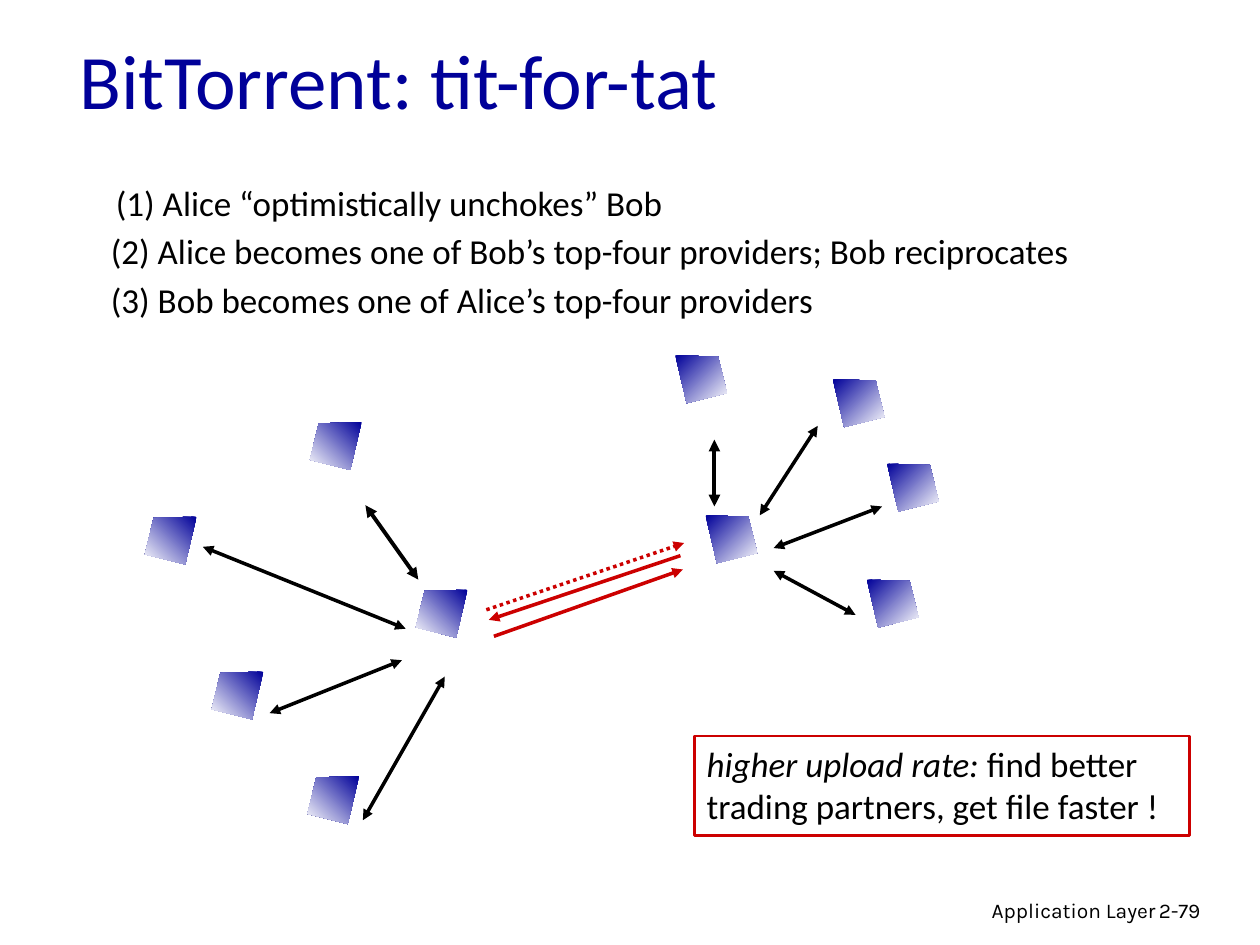
from dataclasses import dataclass

from lxml.etree import SubElement
from pptx import Presentation
from pptx.dml.color import RGBColor
from pptx.enum.dml import MSO_LINE
from pptx.enum.shapes import MSO_CONNECTOR, MSO_SHAPE
from pptx.enum.text import MSO_ANCHOR, MSO_AUTO_SIZE, PP_ALIGN
from pptx.oxml.ns import qn
from pptx.util import Inches, Pt


@dataclass(frozen=True)
class Theme:
    navy: RGBColor = RGBColor(0x00, 0x00, 0x99)
    red: RGBColor = RGBColor(0xCC, 0x00, 0x00)
    black: RGBColor = RGBColor(0, 0, 0)
    white: RGBColor = RGBColor(0xFF, 0xFF, 0xFF)
    font: str = "Calibri"
    footer_font: str = "Karla"
    title_size: int = 44
    body_size: int = 20
    footer_size: int = 12


THEME = Theme()

PEER_WIDTH = 0.41
PEER_OUTLINE = [(0, 0), (0.34, 0.01), (0.41, 0.3), (0.09, 0.38)]

STEPS = [
    (0.04, "(1) Alice “optimistically unchokes” Bob"),
    (0, "(2) Alice becomes one of Bob’s top-four providers; Bob reciprocates"),
    (0, "(3) Bob becomes one of Alice’s top-four providers"),
]
STEP_PITCH = 0.385

# Peers and links are measured from the top left corner of their region.
ALICE_PEERS = [(0.53, 1.98), (1.29, 2.81), (0, 0.75), (2.15, 1.33), (1.31, 0)]
ALICE_LINKS = [
    ((2.07, 1.64), (0.46, 0.99), 2),
    ((2.04, 1.89), (0.99, 2.31), 2),
    ((2.38, 2.02), (1.73, 3.16), 2),
    ((1.75, 0.66), (2.17, 1.25), 2.25),
]
BOB_PEERS = [(1.52, 1.78), (1.68, 0.86), (1.25, 0.19), (0.24, 1.27), (0, 0)]
BOB_LINKS = [
    ((0.67, 1.27), (1.13, 0.56), 2),
    ((0.78, 1.53), (1.64, 1.2), 2),
    ((0.78, 1.71), (1.43, 2.06), 2),
    ((0.31, 0.67), (0.31, 1.2), 2.25),
]
EXCHANGES = [
    ((0, 0.53), (1.57, 0), MSO_LINE.ROUND_DOT),
    ((1.54, 0.1), (0.02, 0.61), None),
    ((0.06, 0.74), (1.56, 0.21), None),
]


def add_span(para, text, size=THEME.body_size, font=THEME.font,
             color=THEME.black, italic=False):
    span = para.add_run()
    span.text = text
    span.font.size = Pt(size)
    span.font.name = font
    span.font.color.rgb = color
    span.font.italic = italic


def add_text(page, box, text, align=PP_ALIGN.LEFT, wrap=True, inset=None, **style):
    frame = page.shapes.add_textbox(*map(Inches, box)).text_frame
    frame.word_wrap = wrap
    if inset is not None:
        frame.margin_left = frame.margin_right = Inches(inset)
        frame.margin_top = frame.margin_bottom = Inches(inset)
        frame.auto_size = MSO_AUTO_SIZE.SHAPE_TO_FIT_TEXT
    para = frame.paragraphs[0]
    para.alignment = align
    add_span(para, text, **style)


def add_arrow(page, origin, start, end, color=THEME.black, width=2,
              dash=None, both_ends=False):
    left, top = origin
    arrow = page.shapes.add_connector(
        MSO_CONNECTOR.STRAIGHT,
        Inches(left + start[0]), Inches(top + start[1]),
        Inches(left + end[0]), Inches(top + end[1]))
    arrow.line.color.rgb = color
    arrow.line.width = Pt(width)
    if dash is not None:
        arrow.line.dash_style = dash
    line = arrow.line._get_or_add_ln()
    for tag in ("a:headEnd", "a:tailEnd") if both_ends else ("a:tailEnd",):
        SubElement(line, qn(tag), type="triangle")
    SubElement(arrow._element.spPr, qn("a:effectLst"))


def add_peer(page, left, top, mirrored):
    points = [(Inches(left + (PEER_WIDTH - x if mirrored else x)), Inches(top + y))
              for x, y in PEER_OUTLINE]
    builder = page.shapes.build_freeform(*points[0])
    builder.add_line_segments(points[1:], close=True)
    peer = builder.convert_to_shape()
    peer.shadow.inherit = False
    peer.line.fill.background()
    peer.fill.gradient()
    peer.fill.gradient_angle = 225 if mirrored else 315
    for stop, color in zip(peer.fill.gradient_stops, (THEME.navy, THEME.white)):
        stop.color.rgb = color


def add_neighbourhood(page, origin, peers, links, mirrored=False):
    for start, end, width in links:
        add_arrow(page, origin, start, end, width=width, both_ends=True)
    for x, y in peers:
        add_peer(page, origin[0] + x, origin[1] + y, mirrored)


def add_exchange(page, origin):
    """Draw the red arrows that run between Alice and Bob."""
    for start, end, dash in EXCHANGES:
        add_arrow(page, origin, start, end, color=THEME.red, dash=dash)


def add_title(page, box, text):
    title = page.shapes.title
    title.left, title.top, title.width, title.height = map(Inches, box)
    frame = title.text_frame
    frame.auto_size = MSO_AUTO_SIZE.NONE
    frame.vertical_anchor = MSO_ANCHOR.MIDDLE
    para = frame.paragraphs[0]
    para.alignment = PP_ALIGN.LEFT
    add_span(para, text, size=THEME.title_size, color=THEME.navy)


def add_steps(page, box):
    left, top, width, height = box
    for row, (indent, text) in enumerate(STEPS):
        add_text(page, (left + indent, top + row * STEP_PITCH, width - indent, height),
                 text, wrap=False, inset=0)


def add_callout(page, box):
    callout = page.shapes.add_shape(MSO_SHAPE.RECTANGLE, *map(Inches, box))
    callout.shadow.inherit = False
    callout.fill.background()
    callout.line.color.rgb = THEME.red
    callout.line.width = Pt(1.5)
    frame = callout.text_frame
    frame.word_wrap = True
    frame.auto_size = MSO_AUTO_SIZE.SHAPE_TO_FIT_TEXT
    frame.vertical_anchor = MSO_ANCHOR.TOP
    para = frame.paragraphs[0]
    para.alignment = PP_ALIGN.LEFT
    add_span(para, "higher upload rate:", italic=True)
    add_span(para, " find better trading partners, get file faster !")


def add_footer(page, box):
    left, top, width, height = box
    number_width = 0.74
    style = dict(size=THEME.footer_size, font=THEME.footer_font)
    add_text(page, (left, top, width - 0.57, height), "Application Layer",
             align=PP_ALIGN.RIGHT, **style)
    add_text(page, (left + width - number_width, top, number_width, height),
             "2-79", **style)


def main():
    deck = Presentation()
    deck.slide_width, deck.slide_height = Inches(10), Inches(7.5)
    page = deck.slides.add_slide(deck.slide_layouts[5])
    add_title(page, (0.53, 0, 8.5, 1.25), "BitTorrent: tit-for-tat")
    add_steps(page, (0.88, 1.44, 7.77, 0.33))
    add_neighbourhood(page, (1.15, 3.35), ALICE_PEERS, ALICE_LINKS, mirrored=True)
    add_neighbourhood(page, (5.36, 2.82), BOB_PEERS, BOB_LINKS)
    add_exchange(page, (3.86, 4.31))
    add_callout(page, (5.51, 5.84, 3.93, 0.79))
    add_footer(page, (6.1, 7.07, 3.74, 0.31))
    deck.save("out.pptx")


if __name__ == "__main__":
    main()
